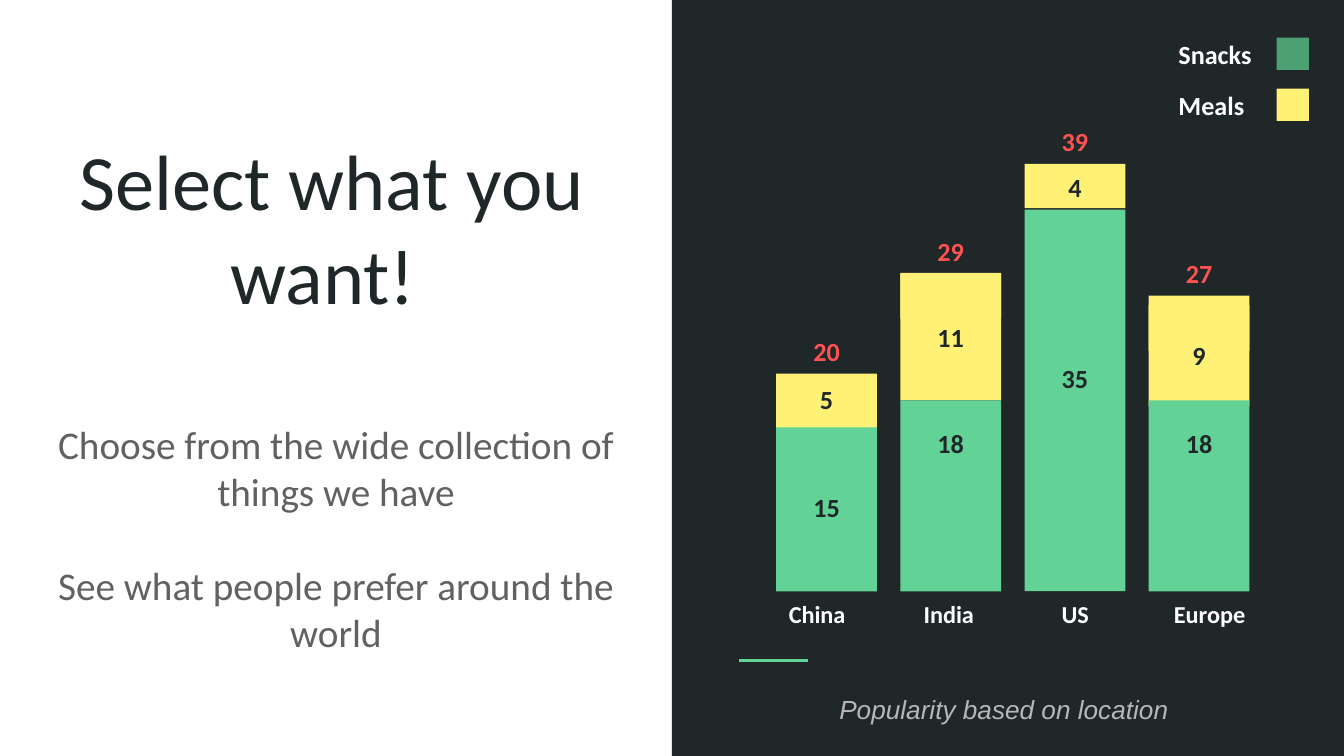
from dataclasses import dataclass

from lxml.etree import SubElement
from pptx import Presentation
from pptx.dml.color import RGBColor
from pptx.enum.shapes import MSO_CONNECTOR, MSO_SHAPE
from pptx.enum.text import MSO_ANCHOR, MSO_AUTO_SIZE, PP_ALIGN
from pptx.oxml.ns import qn
from pptx.util import Inches, Pt


@dataclass
class Theme:
    ink: str = "202729"
    grey: str = "616161"
    pale: str = "B7B7B7"
    white: str = "FFFFFF"
    red: str = "FF5252"
    snacks: str = "63D297"
    snacks_key: str = "4BA173"
    meals: str = "FFF176"
    font: str = "Calibri"
    caption_font: str = "Arial"
    title: int = 42
    body: int = 21
    label: int = 14
    place: int = 13


theme = Theme()
deck = Presentation()
deck.slide_width = Inches(10)
deck.slide_height = deck.slide_width * 9 // 16
page = deck.slides.add_slide(deck.slide_layouts[5])

# Square grid: 100 columns by 56.25 rows
COLUMN = deck.slide_width / 100
ROW = deck.slide_height / 56.25


def write(box, lines, size, color, font=theme.font, bold=False, italic=False,
          align=PP_ALIGN.CENTER, anchor=MSO_ANCHOR.MIDDLE, inset=0, gap=0):
    frame = box.text_frame
    frame.word_wrap = True
    frame.auto_size = MSO_AUTO_SIZE.NONE
    frame.vertical_anchor = anchor
    frame.margin_left = frame.margin_right = int(COLUMN)
    frame.margin_top = frame.margin_bottom = int(inset * ROW)
    for index, line in enumerate(lines):
        para = frame.paragraphs[0] if index == 0 else frame.add_paragraph()
        para.text = line
        para.alignment = align
        para.space_before = Pt(gap if index else 0)
        para.font.name, para.font.size = font, Pt(size)
        para.font.bold, para.font.italic = bold, italic
        para.font.color.rgb = RGBColor.from_string(color)


def place(column, row, columns, rows, fill=None):
    area = [int(n) for n in (column * COLUMN, row * ROW, columns * COLUMN, rows * ROW)]
    if fill is None:
        return page.shapes.add_textbox(*area)
    box = page.shapes.add_shape(MSO_SHAPE.RECTANGLE, *area)
    box.shadow.inherit = False
    box.fill.solid()
    box.fill.fore_color.rgb = RGBColor.from_string(fill)
    box.line.fill.background()
    return box


# Dark right half with its accent line
place(50, 0, 50, 56.25, theme.ink)
accent = page.shapes.add_connector(
    MSO_CONNECTOR.STRAIGHT, int(55 * COLUMN), int(49.15 * ROW),
    int(60.1 * COLUMN), int(49.15 * ROW))
accent.line.color.rgb = RGBColor.from_string(theme.snacks)
accent.line.width = Pt(1.5)
SubElement(accent._element.spPr, qn("a:effectLst"))

# Title and text on the left half
title = page.shapes.title
title.left, title.top = int(2.6 * COLUMN), int(8.3 * ROW)
title.width, title.height = int(44.2 * COLUMN), int(16.5 * ROW)
write(title, ["Select what you want! "], theme.title, theme.ink,
      anchor=MSO_ANCHOR.BOTTOM, inset=1)
write(place(2.9, 30.3, 44.2, 14.7),
      ["Choose from the wide collection of things we have",
       "See what people prefer around the world"],
      theme.body, theme.grey, anchor=MSO_ANCHOR.TOP, inset=1, gap=25)

# Caption
write(place(52.6, 50.6, 44.2, 4.9), ["Popularity based on location"], theme.label,
      theme.pale, font=theme.caption_font, italic=True, anchor=MSO_ANCHOR.TOP, inset=1)

# Stacked bars: name and its column, snacks, meals, cap (row, rows),
# meals label (row, rows, fill), row of split, row of snacks label
BASE, BAR_WIDTH, BAR_STEP, LABEL_ROWS = 44, 7.5, 9.24, 3.4
bars = [
    ("China", 56.3, 15, 5, (27.8, 4.1), (28, 3.4, None), 31.8, 36),
    ("India", 66.1, 18, 11, (20.4, 3.3), (20.3, 9.5, theme.meals), 29.8, 31.3),
    ("US", 75.5, 35, 4, (12.2, 3.3), (12.2, 3.4, None), 15.6, 26.4),
    ("Europe", 85.5, 18, 9, (22, 4.1), (22.7, 7.5, theme.meals), 29.8, 31.3),
]
for index, (name, name_left, snacks, meals, cap, meals_label, split, snacks_row) in enumerate(bars):
    left = 57.75 + index * BAR_STEP
    top, cap_rows = cap
    label_row, label_rows, label_fill = meals_label
    write(place(name_left, BASE, 9, LABEL_ROWS), [name],
          theme.place, theme.white, bold=True)
    write(place(left, top - LABEL_ROWS, BAR_WIDTH, LABEL_ROWS), [str(snacks + meals)],
          theme.label, theme.red, bold=True)
    place(left, top, BAR_WIDTH, cap_rows, theme.meals)
    write(place(left, label_row, BAR_WIDTH, label_rows, label_fill), [str(meals)],
          theme.label, theme.ink, bold=True)
    place(left, split, BAR_WIDTH, BASE - split, theme.snacks)
    write(place(left, snacks_row, BAR_WIDTH, LABEL_ROWS), [str(snacks)],
          theme.label, theme.ink, bold=True)

# Legend
legend = [("Snacks", theme.snacks_key), ("Meals", theme.meals)]
for index, (name, color) in enumerate(legend):
    row = 2.8 + index * 3.8
    write(place(86.7, row, 8.3, 2.4), [name], theme.label, theme.white,
          bold=True, align=PP_ALIGN.LEFT)
    place(95, row, 2.4, 2.4, color)

deck.save("out.pptx")
